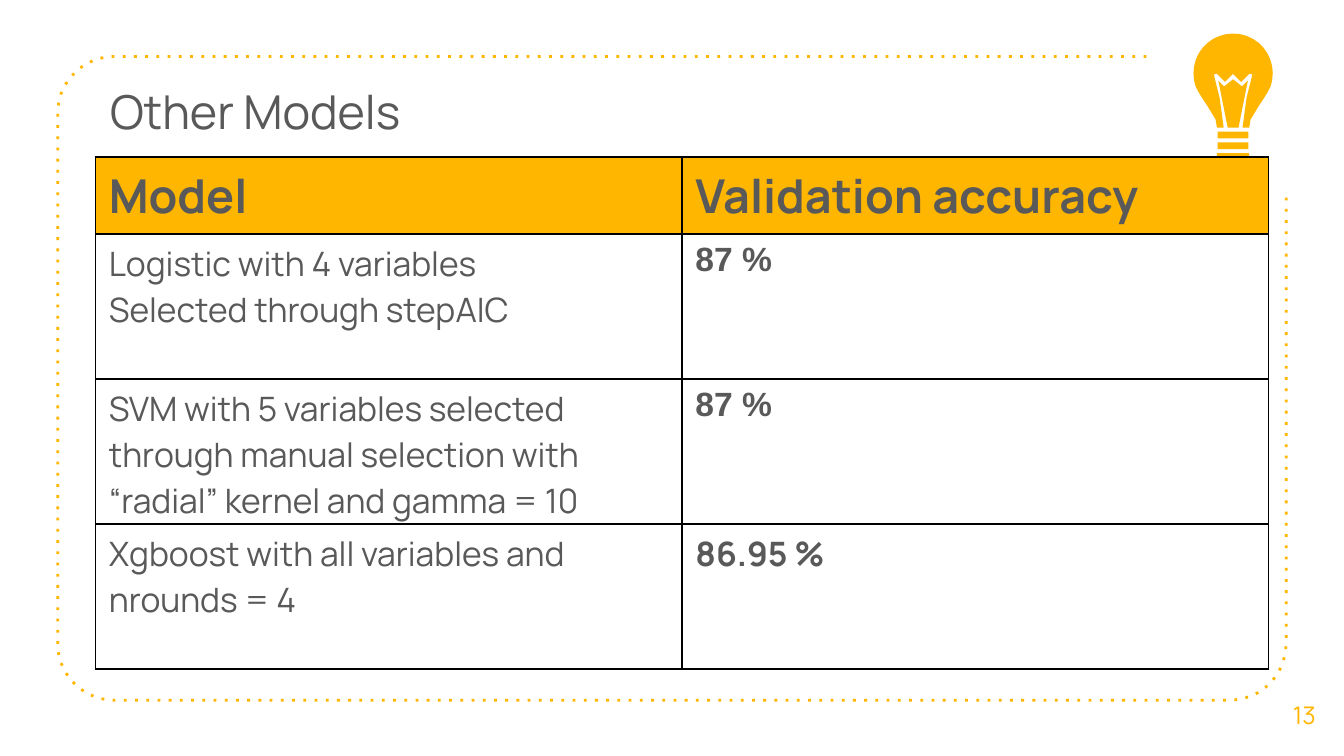
from dataclasses import dataclass
from math import cos, radians, sin

from lxml.etree import SubElement
from pptx import Presentation
from pptx.dml.color import RGBColor
from pptx.enum.shapes import MSO_SHAPE
from pptx.enum.text import MSO_ANCHOR, PP_ALIGN
from pptx.oxml.ns import qn
from pptx.util import Inches, Pt


@dataclass(frozen=True)
class Theme:
    gold: RGBColor = RGBColor(0xFF, 0xB6, 0x00)
    gray: RGBColor = RGBColor(0x59, 0x59, 0x59)
    rule: str = "000000"
    font: str = "Manrope"
    plain: str = "Arial"
    head: int = 25
    body: int = 18
    small: int = 13


THEME = Theme()

ROWS = [
    ("Model", "Validation accuracy"),
    ("Logistic with 4 variables\nSelected through stepAIC", "87 %"),
    ("SVM with 5 variables selected through manual selection with "
     "“radial” kernel and gamma = 10", "87 %"),
    ("Xgboost with all variables and nrounds = 4", "86.95 %"),
]


def style(frame, size, color=THEME.gray, font=THEME.font, bold=False):
    for para in frame.paragraphs:
        for run in para.runs:
            run.font.size = Pt(size)
            run.font.name = font
            run.font.bold = bold
            run.font.color.rgb = color


def arc(x, y, r, start, end, step=10):
    """Points on a circle, with angles in degrees clockwise from the right."""
    sign = step if end > start else -step
    turns = [radians(a) for a in range(start, end + sign, sign)]
    return [(x + r * cos(t), y + r * sin(t)) for t in turns]


def trace(shapes, points, close=True):
    spots = [(Inches(x), Inches(y)) for x, y in points]
    pen = shapes.build_freeform(*spots[0], scale=1.0)
    pen.add_line_segments(spots[1:], close=close)
    shape = pen.convert_to_shape()
    shape.shadow.inherit = False
    return shape


def paint(shape):
    shape.fill.solid()
    shape.fill.fore_color.rgb = THEME.gold
    shape.line.fill.background()


def add_frame(slide):
    left, right, top, low, r = 0.43, 9.57, 0.42, 5.21, 0.42
    points = [(8.53, top)]
    points += arc(left + r, top + r, r, 270, 180)
    points += arc(left + r, low - r, r, 180, 90)
    points += arc(right - r, low - r, r, 90, 0)
    points.append((right, 1.46))
    shape = trace(slide.shapes, points, close=False)
    shape.fill.background()
    shape.line.color.rgb = THEME.gold
    shape.line.width = Pt(1.5)
    line = shape.line._get_or_add_ln()
    SubElement(line, qn("a:prstDash"), val="dot")


def add_bulb(slide):
    left, top, wide = 8.88, 0.25, 0.59
    r = wide / 2
    mid = left + r
    shapes = slide.shapes.add_group_shape().shapes

    def mirror(half):
        """Fill an outline whose left half is given as offsets from the axis."""
        near = [(mid - dx, y) for dx, y in half]
        far = [(mid + dx, y) for dx, y in reversed(half)]
        paint(trace(shapes, near + far))

    for y in (1.06, 0.98):
        band = shapes.add_shape(MSO_SHAPE.RECTANGLE, Inches(9.06), Inches(y),
                                Inches(0.23), Inches(0.05))
        band.shadow.inherit = False
        paint(band)
    mirror([(0.12, 1.14), (0.12, 1.16), (0.1, 1.18), (0.01, 1.21)])
    mirror([(0, 0.59), (0.05, 0.63), (0.06, 0.64), (0.07, 0.64),
            (0.11, 0.6), (0.04, 0.95)])
    dome = [(-x, y) for x, y in arc(0, top + r, r, 270, 180)]
    mirror(dome + [
        (0.29, 0.6), (0.28, 0.64), (0.26, 0.68), (0.23, 0.73),
        (0.19, 0.79), (0.16, 0.84), (0.13, 0.89), (0.12, 0.95),
        (0.07, 0.95), (0.1, 0.73), (0.14, 0.57), (0.14, 0.55),
        (0.12, 0.55), (0.06, 0.61), (0.01, 0.56), (0, 0.55)])


def add_text(slide, text, box, size, color):
    frame = slide.shapes.add_textbox(*map(Inches, box)).text_frame
    frame.word_wrap = True
    frame.text = text
    style(frame, size, color)
    return frame


def edge(cell):
    """Rule all four sides; the lines must come before the fill."""
    props = cell._tc.get_or_add_tcPr()
    for spot, side in enumerate(("lnL", "lnR", "lnT", "lnB")):
        line = SubElement(props, qn(f"a:{side}"), w=str(Pt(1)))
        fill = SubElement(line, qn("a:solidFill"))
        SubElement(fill, qn("a:srgbClr"), val=THEME.rule)
        props.insert(spot, line)


def add_grid(slide):
    shape = slide.shapes.add_table(len(ROWS), 2, Inches(0.71), Inches(1.17),
                                   Inches(8.73), Inches(3.81))
    table = shape.table
    for r, texts in enumerate(ROWS):
        table.rows[r].height = Inches(1.08 if r else 0.57)
        for c, text in enumerate(texts):
            cell = table.cell(r, c)
            cell.margin_bottom = 0
            cell.text_frame.text = text
            if r == 0:
                cell.fill.solid()
                cell.fill.fore_color.rgb = THEME.gold
            else:
                cell.fill.background()
            font = THEME.plain if text == "87 %" else THEME.font
            style(cell.text_frame, THEME.body if r else THEME.head,
                  font=font, bold=r == 0 or c == 1)
            edge(cell)


def main():
    deck = Presentation()
    deck.slide_width = Inches(10)
    deck.slide_height = deck.slide_width * 9 // 16
    slide = deck.slides.add_slide(deck.slide_layouts[6])
    add_frame(slide)
    number = add_text(slide, "13", (9.41, 5.02, 0.59, 0.6),
                      THEME.small, THEME.gold)
    number.vertical_anchor = MSO_ANCHOR.MIDDLE
    number.paragraphs[0].alignment = PP_ALIGN.CENTER
    add_bulb(slide)
    add_text(slide, "Other Models", (0.72, 0.57, 2.91, 0.52),
             THEME.head, THEME.gray)
    add_grid(slide)
    deck.save("out.pptx")


if __name__ == "__main__":
    main()
